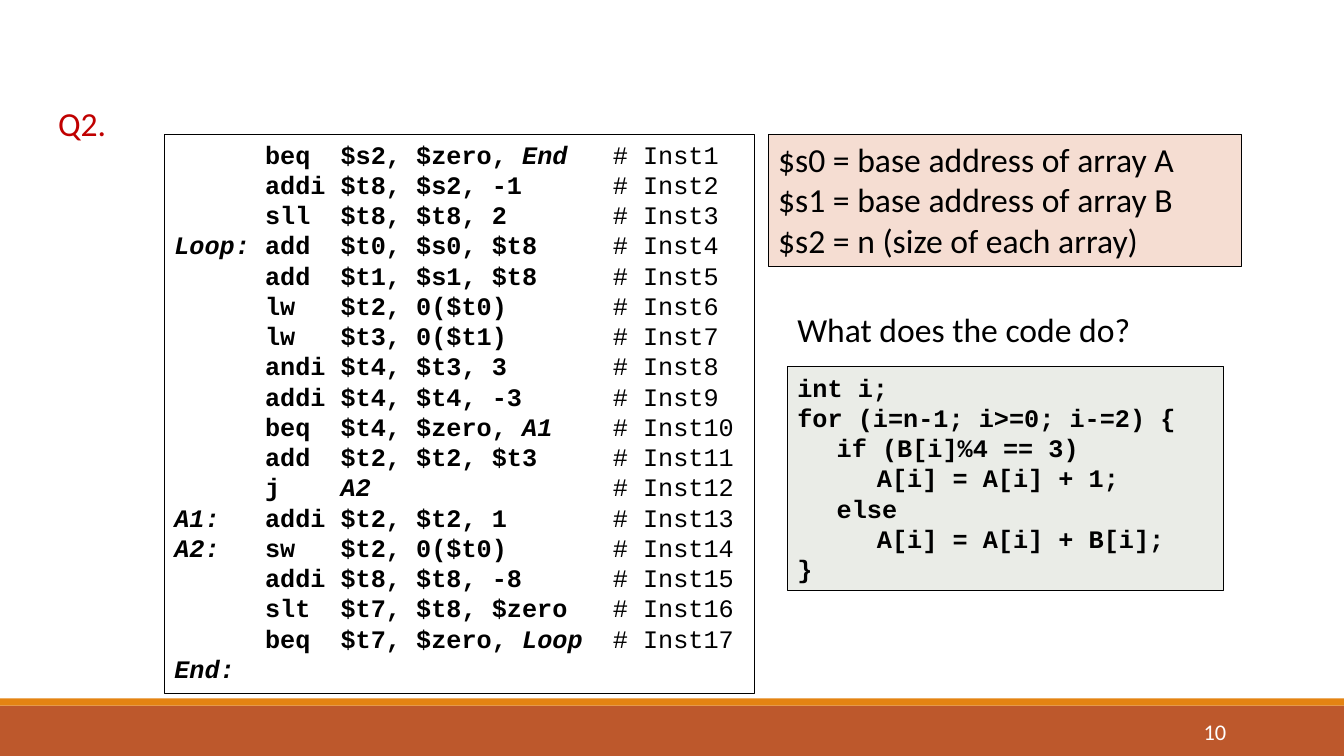
import dataclasses

import pptx
import pptx.dml.color
import pptx.enum.shapes
import pptx.enum.text
import pptx.oxml
import pptx.oxml.ns
import pptx.slide
import pptx.util

Inches = pptx.util.Inches
ALIGN = pptx.enum.text.PP_ALIGN
ANCHOR = pptx.enum.text.MSO_ANCHOR

INSTRUCTIONS = [
    ("", "beq", "$s2, $zero, ", "End"),
    ("", "addi", "$t8, $s2, -1", ""),
    ("", "sll", "$t8, $t8, 2", ""),
    ("Loop:", "add", "$t0, $s0, $t8", ""),
    ("", "add", "$t1, $s1, $t8", ""),
    ("", "lw", "$t2, 0($t0)", ""),
    ("", "lw", "$t3, 0($t1)", ""),
    ("", "andi", "$t4, $t3, 3", ""),
    ("", "addi", "$t4, $t4, -3", ""),
    ("", "beq", "$t4, $zero, ", "A1"),
    ("", "add", "$t2, $t2, $t3", ""),
    ("", "j", "", "A2"),
    ("A1:", "addi", "$t2, $t2, 1", ""),
    ("A2:", "sw", "$t2, 0($t0)", ""),
    ("", "addi", "$t8, $t8, -8", ""),
    ("", "slt", "$t7, $t8, $zero", ""),
    ("", "beq", "$t7, $zero, ", "Loop"),
]

ANSWER = [
    "int i;",
    "for (i=n-1; i>=0; i-=2) {",
    "\tif (B[i]%4 == 3)",
    "\t\tA[i] = A[i] + 1;",
    "\telse",
    "\t\tA[i] = A[i] + B[i];",
    "}",
]

REGISTERS = [
    "$s0 = base address of array A",
    "$s1 = base address of array B",
    "$s2 = n (size of each array)",
]


def rgb(value):
    return pptx.dml.color.RGBColor.from_string(value)


def add_tab_stops(paragraph, stops):
    properties = paragraph._p.get_or_add_pPr()
    tab_list = pptx.oxml.parse_xml(f'<a:tabLst {pptx.oxml.ns.nsdecls("a")}/>')
    for stop in stops:
        tab = tab_list.makeelement(pptx.oxml.ns.qn("a:tab"), {"pos": str(Inches(stop)), "algn": "l"})
        tab_list.append(tab)
    properties.append(tab_list)


def write_text(frame, lines, font="Calibri", size=24, color="000000", bold=False,
               align=ALIGN.LEFT, anchor=ANCHOR.TOP, tabs=()):
    frame.word_wrap = True
    frame.vertical_anchor = anchor
    for index, line in enumerate(lines):
        paragraph = frame.add_paragraph() if index else frame.paragraphs[0]
        paragraph.alignment = align
        if tabs:
            add_tab_stops(paragraph, tabs)
        pieces = [(line, {})] if isinstance(line, str) else line
        for text, emphasis in pieces:
            run = paragraph.add_run()
            run.text = text
            run.font.name = font
            run.font.size = pptx.util.Pt(size)
            run.font.color.rgb = rgb(color)
            run.font.bold = emphasis.get("bold", bold)
            run.font.italic = emphasis.get("italic", False)


def assembly_lines():
    lines = []
    for number, (label, operation, operands, target) in enumerate(INSTRUCTIONS, 1):
        pieces = [
            (label, {"italic": True}),
            (f"\t{operation}\t{operands}", {}),
            (target, {"italic": True}),
            (f"\t# Inst{number}", {"bold": False}),
        ]
        lines.append([piece for piece in pieces if piece[0]])
    return lines + [[("End:", {"italic": True})]]


@dataclasses.dataclass
class SlideBuilder:
    slide: pptx.slide.Slide
    code_font: str = "Courier New"
    code_size: int = 18
    border: str = "000000"
    border_width: float = 0.75

    def rectangle(self, box, fill=None, bordered=False):
        shape = self.slide.shapes.add_shape(
            pptx.enum.shapes.MSO_SHAPE.RECTANGLE, *map(Inches, box))
        shape.shadow.inherit = False
        if fill:
            shape.fill.solid()
            shape.fill.fore_color.rgb = rgb(fill)
        else:
            shape.fill.background()
        if bordered:
            shape.line.color.rgb = rgb(self.border)
            shape.line.width = pptx.util.Pt(self.border_width)
        else:
            shape.line.fill.background()
        return shape

    def panel(self, box, lines, fill=None, **style):
        write_text(self.rectangle(box, fill, bordered=True).text_frame, lines, **style)

    def code(self, box, lines, tabs, fill=None):
        self.panel(box, lines, fill, font=self.code_font, size=self.code_size,
                   bold=True, tabs=tabs)

    def label(self, box, text, **style):
        textbox = self.slide.shapes.add_textbox(*map(Inches, box))
        write_text(textbox.text_frame, [text], **style)


def main():
    deck = pptx.Presentation()
    deck.slide_width = Inches(13.33)
    deck.slide_height = Inches(7.5)
    builder = SlideBuilder(deck.slides.add_slide(deck.slide_layouts[6]))

    builder.rectangle((0, 7, 13.33, 0.5), "BD582C")
    builder.rectangle((0, 6.93, 13.33, 0.07), "E48312")
    builder.label((0.32, 0.97, 0.99, 0.5), "Q2.", color="C00000", align=ALIGN.CENTER)
    builder.code((1.63, 1.33, 5.85, 5.55), assembly_lines(), tabs=(0.9, 1.65, 4.35))
    builder.label((7.81, 3.02, 4.22, 0.5), "What does the code do?")
    builder.code((7.81, 3.64, 4.33, 2.22), ANSWER, tabs=(0.39, 0.79), fill="EAECE7")
    builder.panel((7.62, 1.33, 4.69, 1.31), REGISTERS, fill="F5DDD2")
    builder.label((10.83, 7.06, 1.43, 0.4), "10", size=16, color="FFFFFF",
                  align=ALIGN.RIGHT, anchor=ANCHOR.MIDDLE)

    deck.save("out.pptx")


if __name__ == "__main__":
    main()
